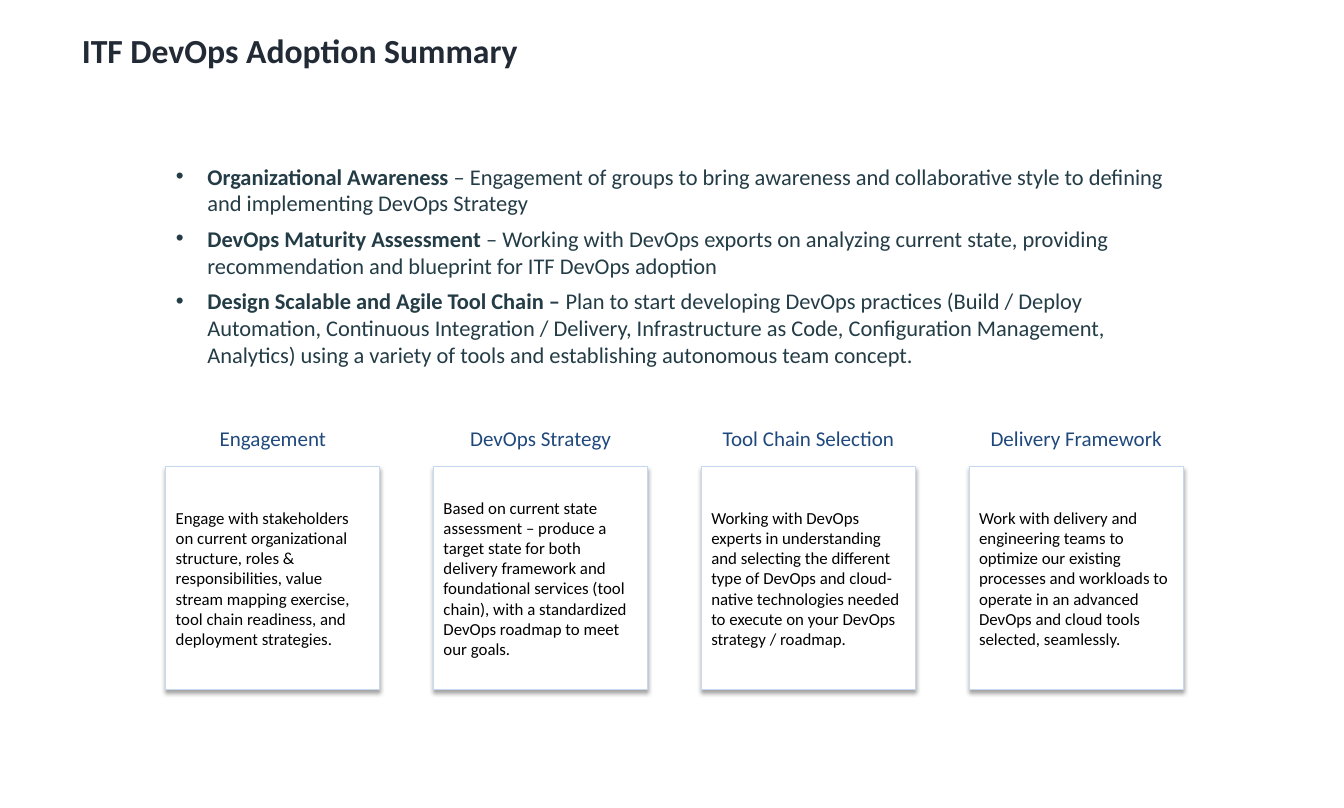
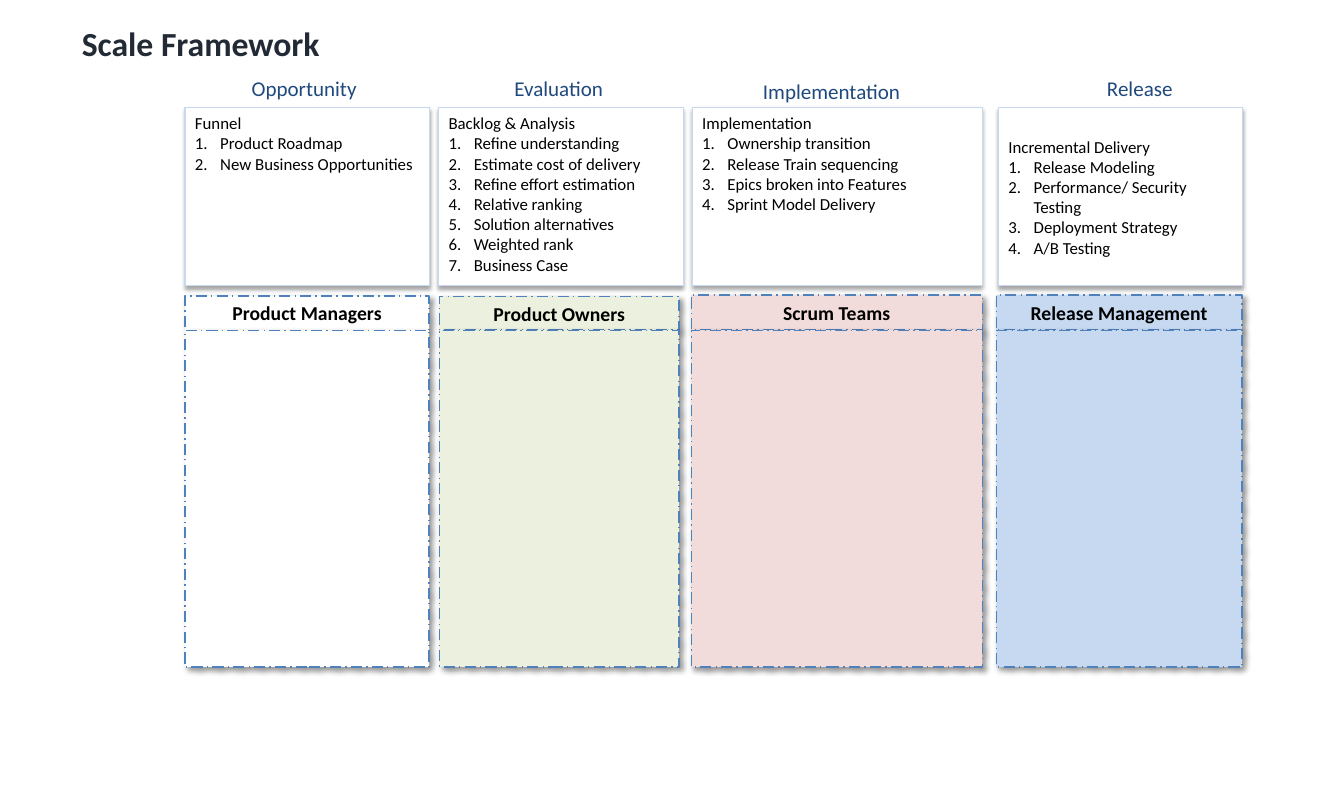
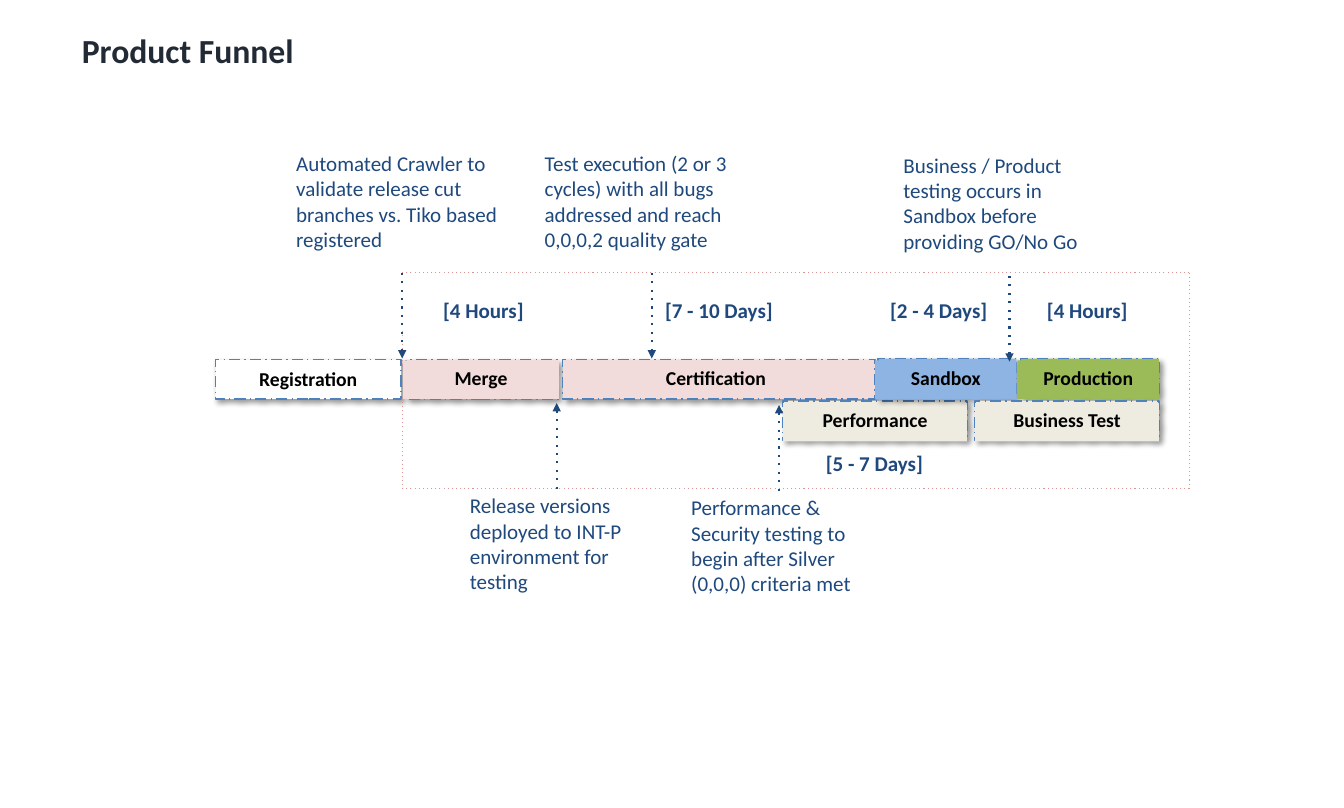
from dataclasses import dataclass

from lxml import etree
from pptx import Presentation
from pptx.dml.color import RGBColor
from pptx.enum.dml import MSO_LINE
from pptx.enum.shapes import MSO_CONNECTOR, MSO_SHAPE
from pptx.enum.text import MSO_ANCHOR, MSO_AUTO_SIZE, PP_ALIGN
from pptx.oxml.ns import qn
from pptx.util import Pt

LEFT, CENTER = PP_ALIGN.LEFT, PP_ALIGN.CENTER
TOP, MIDDLE = MSO_ANCHOR.TOP, MSO_ANCHOR.MIDDLE
RECTANGLE, STRAIGHT = MSO_SHAPE.RECTANGLE, MSO_CONNECTOR.STRAIGHT
SOLID, DASH_DOT = MSO_LINE.SOLID, MSO_LINE.LONG_DASH_DOT


@dataclass(frozen=True)
class Theme:
    """Colours, type and outlines shared by all slides."""
    font: str = "Calibri"
    title: str = "222A35"
    body: str = "233C46"
    navy: str = "1F497D"
    black: str = "000000"
    white: str = "FFFFFF"
    pale_blue: str = "C6D9F1"
    pink: str = "F2DCDB"
    pale_green: str = "EBF1DE"
    tan: str = "EEECE1"
    blue: str = "8EB4E3"
    green: str = "9BBB59"
    frame_red: str = "D99694"
    title_size: float = 24
    body_size: float = 16
    # Text styles: size, colour, bold, alignment, side inset, top inset
    heading: tuple = (15, "1F497D", False, CENTER, 5.8, 2.9)
    note: tuple = (15, "1F497D", False, LEFT, 5.8, 2.9)
    duration: tuple = (15, "1F497D", True, CENTER, 5.8, 2.9)
    card_text: tuple = (12, "000000", False, LEFT, 7.2, 3.6)
    label: tuple = (14, "000000", True, CENTER, 7.2, 3.6)
    # Outlines with their shadow: colour, width, dash, alpha, blur, distance, angle
    card: tuple = ("C6D9F1", 0.75, SOLID, 35, 3.1, 1.8, 90)
    lane: tuple = ("4F81BD", 1, DASH_DOT, 40, 4, 3, 45)


THEME = Theme()


def add_box(slide, at, text="", style=THEME.label, fill=None, outline=None, anchor=TOP):
    """Add a text box, or a rectangle when a fill is given."""
    area = [Pt(length) for length in at]
    if fill is None:
        box = slide.shapes.add_textbox(*area)
    else:
        box = slide.shapes.add_shape(RECTANGLE, *area)
        box.fill.solid()
        box.fill.fore_color.rgb = RGBColor.from_string(fill)
        box.line.fill.background()
        box.shadow.inherit = False
    if outline:
        colour, width, dash, alpha, blur, distance, angle = outline
        box.line.color.rgb = RGBColor.from_string(colour)
        box.line.width = Pt(width)
        box.line.dash_style = dash
        effects = box.element.spPr.find(qn("a:effectLst"))
        shadow = etree.SubElement(
            effects, qn("a:outerShdw"), blurRad=str(Pt(blur)), dist=str(Pt(distance)),
            dir=str(angle * 60000), algn="tl", rotWithShape="0")
        tint = etree.SubElement(shadow, qn("a:srgbClr"), val=THEME.black)
        etree.SubElement(tint, qn("a:alpha"), val=str(alpha * 1000))
    size, colour, bold, align, side, top = style
    frame = box.text_frame
    frame.word_wrap = True
    frame.vertical_anchor = anchor
    frame.margin_left = frame.margin_right = Pt(side)
    frame.margin_top = frame.margin_bottom = Pt(top)
    frame.text = text
    for paragraph in frame.paragraphs:
        paragraph.alignment = align
        for run in paragraph.runs:
            run.font.name = THEME.font
            run.font.size = Pt(size)
            run.font.bold = bold
            run.font.color.rgb = RGBColor.from_string(colour)
    return box


def add_dotted_line(slide, start, end, colour, width, arrow=False):
    """Add a dotted line, with an optional arrowhead at its start."""
    line = slide.shapes.add_connector(STRAIGHT, *[Pt(v) for v in (*start, *end)])
    line.line.color.rgb = RGBColor.from_string(colour)
    line.line.width = Pt(width)
    outline = line.element.spPr.find(qn("a:ln"))
    etree.SubElement(outline, qn("a:prstDash"), val="dot")
    if arrow:
        etree.SubElement(outline, qn("a:headEnd"), type="triangle")
    etree.SubElement(line.element.spPr, qn("a:effectLst"))


deck = Presentation()
deck.slide_width, deck.slide_height = Pt(957.6), Pt(576)

# Slides and their titles
slides = []
for title_text, layout, top in [
    ("ITF DevOps Adoption Summary", 1, 15.8),
    ("Scale Framework", 5, 10.8),
    ("Product Funnel", 5, 15.8),
]:
    slide = deck.slides.add_slide(deck.slide_layouts[layout])
    slides.append(slide)
    title = slide.shapes.title
    title.left, title.top, title.width, title.height = Pt(49.7), Pt(top), Pt(861), Pt(40.3)
    frame = title.text_frame
    frame.text = title_text
    frame.auto_size = MSO_AUTO_SIZE.NONE
    frame.vertical_anchor = MIDDLE
    frame.margin_left = frame.margin_right = Pt(8.6)
    frame.margin_top = frame.margin_bottom = Pt(4.3)
    frame.paragraphs[0].alignment = LEFT
    font = frame.paragraphs[0].runs[0].font
    font.name, font.size, font.bold = THEME.font, Pt(THEME.title_size), True
    font.color.rgb = RGBColor.from_string(THEME.title)
summary, framework, funnel = slides

# Slide 1: adoption summary
goals = [
    ("Organizational Awareness ",
     "– Engagement of groups to bring awareness and collaborative style to defining "
     "and implementing DevOps Strategy"),
    ("DevOps Maturity Assessment ",
     "– Working with DevOps exports on analyzing current state, providing "
     "recommendation and blueprint for ITF DevOps adoption"),
    ("Design Scalable and Agile Tool Chain – ",
     "Plan to start developing DevOps practices (Build / Deploy Automation, Continuous "
     "Integration / Delivery, Infrastructure as Code, Configuration Management, Analytics) "
     "using a variety of tools and establishing autonomous team concept."),
]
goal_list = summary.placeholders[1]
goal_list.left, goal_list.top = Pt(118.1), Pt(112.3)
goal_list.width, goal_list.height = Pt(725), Pt(154.8)
frame = goal_list.text_frame
frame.auto_size = MSO_AUTO_SIZE.NONE
for number, goal in enumerate(goals):
    paragraph = frame.add_paragraph() if number else frame.paragraphs[0]
    paragraph.space_before, paragraph.space_after = Pt(0), Pt(6)
    properties = paragraph._p.get_or_add_pPr()
    properties.set("marL", str(Pt(22.5)))
    properties.set("indent", str(Pt(-22.5)))
    for part, bold in zip(goal, (True, False)):
        run = paragraph.add_run()
        run.text = part
        run.font.name, run.font.size, run.font.bold = THEME.font, Pt(THEME.body_size), bold
        run.font.color.rgb = RGBColor.from_string(THEME.body)

steps = [
    ("Engagement",
     "Engage with stakeholders on current organizational structure, roles & responsibilities, "
     "value stream mapping exercise, tool chain readiness, and deployment strategies."),
    ("DevOps Strategy",
     "Based on current state assessment – produce a target state for both delivery framework "
     "and foundational services (tool chain), with a standardized DevOps roadmap to meet "
     "our goals."),
    ("Tool Chain Selection",
     "Working with DevOps experts in understanding and selecting the different type of DevOps "
     "and cloud-native technologies needed to execute on your DevOps strategy / roadmap."),
    ("Delivery Framework",
     "Work with delivery and engineering teams to optimize our existing processes and workloads "
     "to operate in an advanced DevOps and cloud tools selected, seamlessly."),
]
for column, (heading, detail) in enumerate(steps):
    left = 118.1 + column * 190.8
    add_box(summary, (left, 332.6, 152.6, 159.1), detail, THEME.card_text,
            THEME.white, THEME.card, MIDDLE)
    add_box(summary, (left, 300.2, 152.6, 23.8), heading, THEME.heading)

# Slide 2: phases above, team lanes below
lanes = [
    ("Product Managers", THEME.white, 131.8, 211, 174),
    ("Product Owners", THEME.pale_green, 313.2, 211.3, 170.6),
    ("Scrum Teams", THEME.pink, 492.5, 210.2, 207.4),
    ("Release Management", THEME.pale_blue, 709.9, 210.2, 175),
]
lane_top = 235.4
for team, fill, left, top, width in lanes:
    add_box(framework, (left, top, width, lane_top - top), team, THEME.label,
            fill, THEME.lane, MIDDLE)
    add_box(framework, (left, lane_top, width, 240), fill=fill, outline=THEME.lane)

# Heading, its left and top, card left and width, anchor, card lines
phases = [
    ("Opportunity", 140.4, 51.1, 131.8, 174.2, TOP,
     ["Funnel", "Product Roadmap", "New Business Opportunities"]),
    ("Evaluation", 321.8, 51.1, 312.5, 174.2, TOP,
     ["Backlog & Analysis", "Refine understanding", "Estimate cost of delivery",
      "Refine effort estimation", "Relative ranking", "Solution alternatives",
      "Weighted rank", "Business Case"]),
    ("Implementation", 516.2, 53.3, 493.2, 206.6, TOP,
     ["Implementation", "Ownership transition", "Release Train sequencing",
      "Epics broken into Features", "Sprint Model Delivery"]),
    ("Release", 735.8, 51.1, 711.4, 174.2, MIDDLE,
     ["Incremental Delivery", "Release Modeling", "Performance/ Security Testing",
      "Deployment Strategy", "A/B Testing"]),
]
for heading, heading_left, heading_top, left, width, anchor, lines in phases:
    card = add_box(framework, (left, 77, width, 126.7), "\n".join(lines), THEME.card_text,
                   THEME.white, THEME.card, anchor)
    for activity in card.text_frame.paragraphs[1:]:
        properties = activity._p.get_or_add_pPr()
        properties.set("marL", str(Pt(18)))
        properties.set("indent", str(Pt(-18)))
        etree.SubElement(properties, qn("a:buAutoNum"), type="arabicPeriod")
    add_box(framework, (heading_left, heading_top, 152.6, 23.8), heading, THEME.heading)

# Slide 3: stage bars; an opaque label plate covers part of some outlines
# Name, fill, bar left, top and width, plate left, top and width, opaque plate
stages = [
    ("Registration", THEME.white, 153.4, 256.3, 132.5, 153.4, 257.8, 132.5, False),
    ("Merge", THEME.pink, 289.4, 256.3, 108.7, 287.3, 257, 110.9, True),
    ("Certification", THEME.pink, 401, 256.3, 222.5, 396.7, 257, 226.8, False),
    ("Performance", THEME.tan, 558, 285.8, 131, 558, 287.3, 131, True),
    ("Sandbox", THEME.blue, 625.7, 255.6, 98.6, 623.5, 257, 100.8, True),
    ("Production", THEME.green, 727.2, 255.6, 98.6, 725, 257, 100.8, True),
    ("Business Test", THEME.tan, 694.8, 285.8, 131, 694.8, 287.3, 131, True),
]
for name, fill, left, top, width, plate_left, plate_top, plate_width, opaque in stages:
    add_box(funnel, (left, top, width, 28.1), fill=fill, outline=THEME.lane)
    add_box(funnel, (plate_left, plate_top, plate_width, 27.4), name, THEME.label,
            fill if opaque else None)

frame_left, frame_right, frame_top, frame_bottom = 286.6, 847.4, 194.4, 348.5
for start, end in [
    ((frame_left, 236.2), (frame_left, frame_bottom)),
    ((frame_right, frame_top), (frame_right, frame_bottom)),
    ((frame_right, frame_top), (frame_left, frame_top)),
    ((frame_right, frame_bottom), (frame_left, frame_bottom)),
]:
    add_dotted_line(funnel, start, end, THEME.frame_red, 0.75)

for text, left, top, width in [
    ("Automated Crawler to validate release cut branches vs. Tiko based registered",
     205.2, 104.4, 163.4),
    ("Test execution (2 or 3 cycles) with all bugs addressed and reach 0,0,0,2 quality gate",
     382.3, 104.4, 163.4),
    ("Business / Product testing occurs in Sandbox before providing GO/No Go",
     637.9, 105.8, 163.4),
    ("Release versions deployed to INT-P environment for testing", 329, 348.5, 139),
    ("Performance & Security testing to begin after Silver (0,0,0) criteria met",
     486.7, 349.9, 139),
]:
    add_box(funnel, (left, top, width, 87.8), text, THEME.note)

for text, left, top, width in [
    ("[4 Hours]", 288, 209.5, 113),
    ("[7 - 10 Days]", 455.8, 209.5, 113),
    ("[2 - 4 Days]", 618.5, 209.5, 100.8),
    ("[4 Hours]", 724.3, 209.5, 100.8),
    ("[5 - 7 Days]", 566.6, 318.2, 113),
]:
    add_box(funnel, (left, top, width, 26.6), text, THEME.duration)

for x, tip, tail in [
    (286.6, 255.6, 192.2),
    (464.4, 255.6, 192.2),
    (719.3, 257.8, 194.4),
    (396.7, 287.3, 348.5),
    (555.1, 288.7, 349.9),
]:
    add_dotted_line(funnel, (x, tip), (x, tail), THEME.navy, 1.5, arrow=True)

deck.save("out.pptx")
